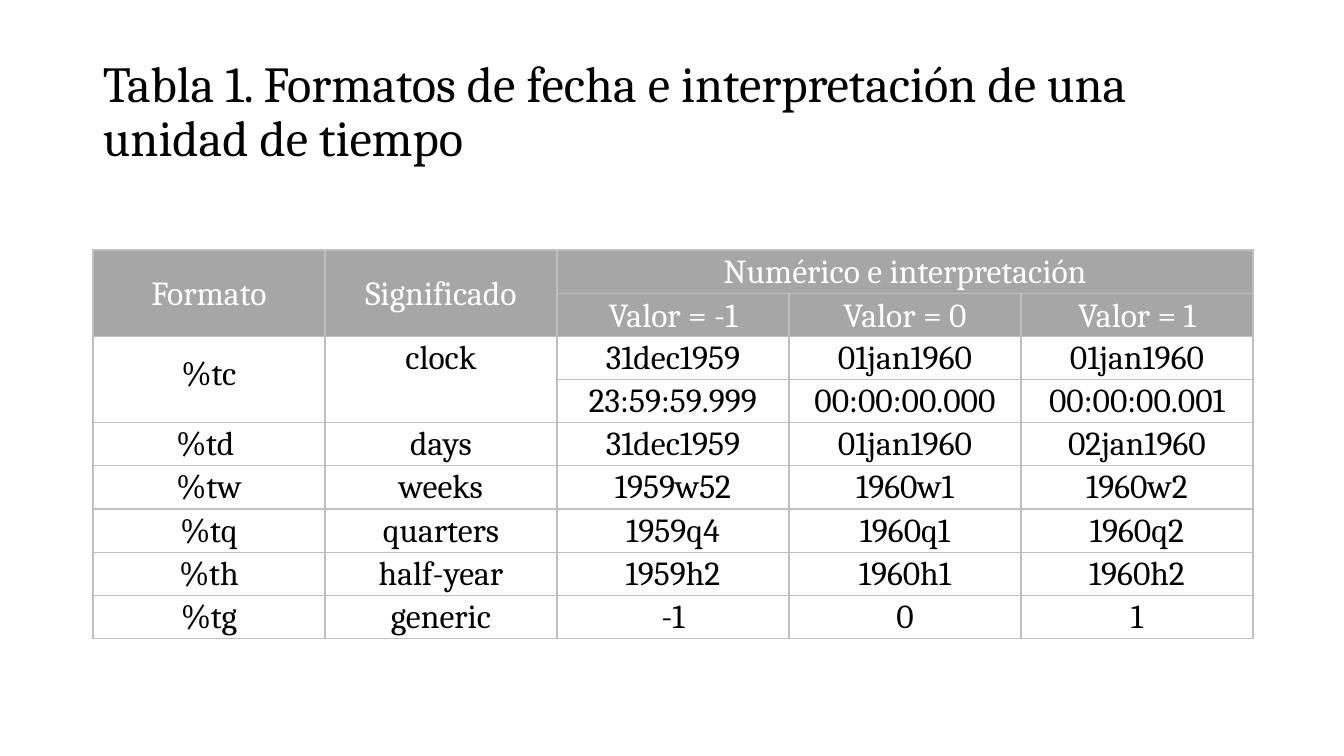
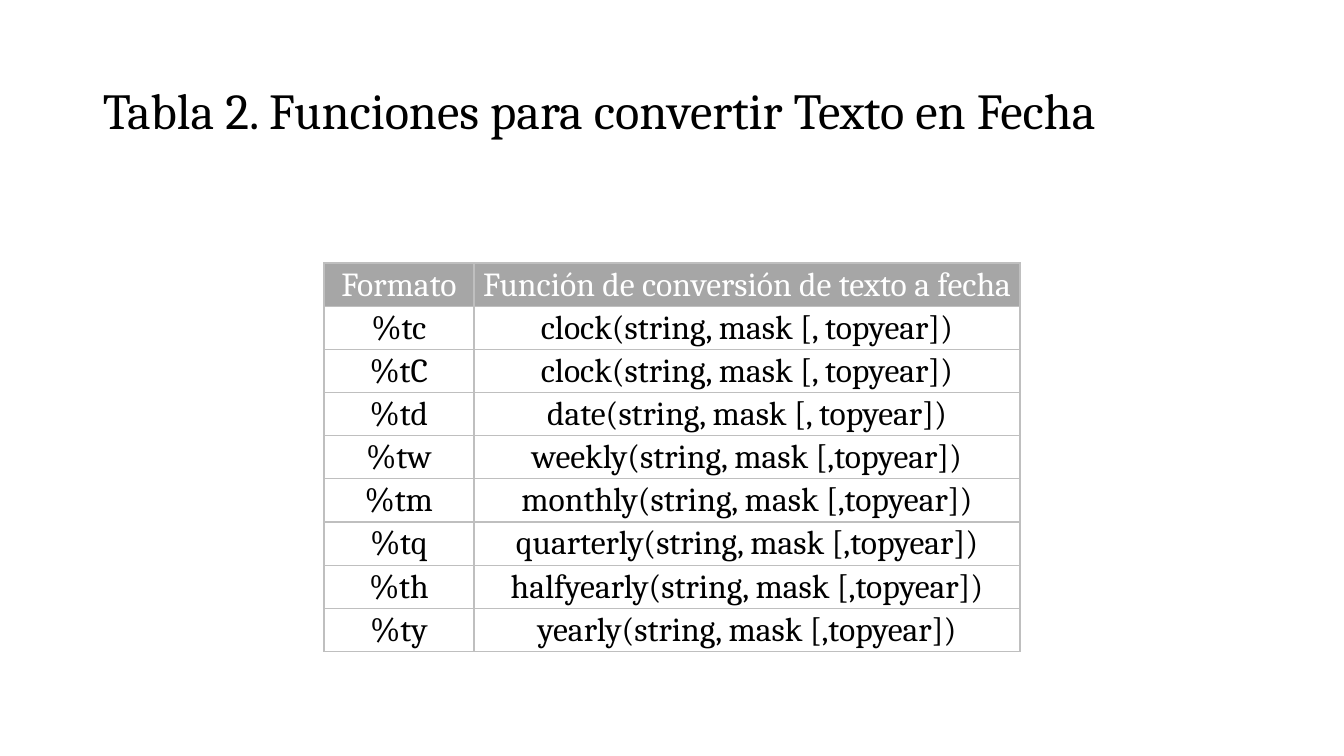
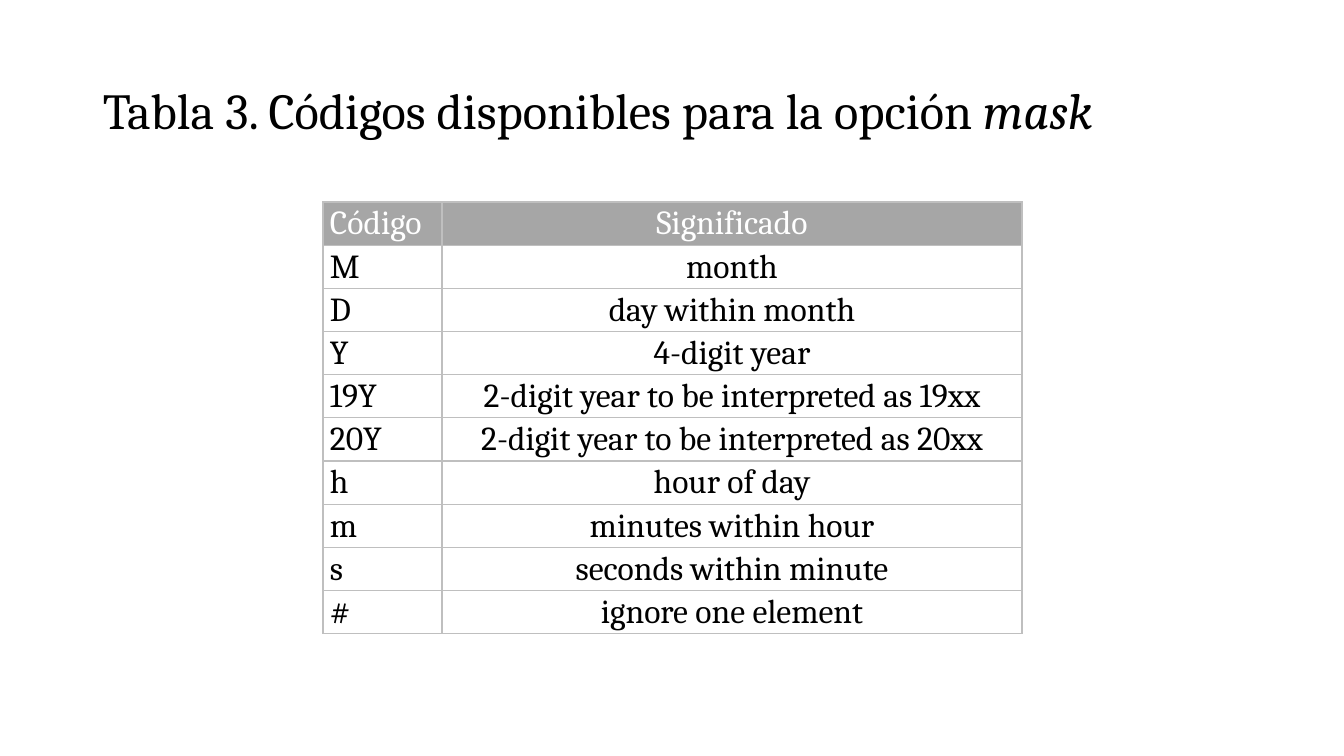
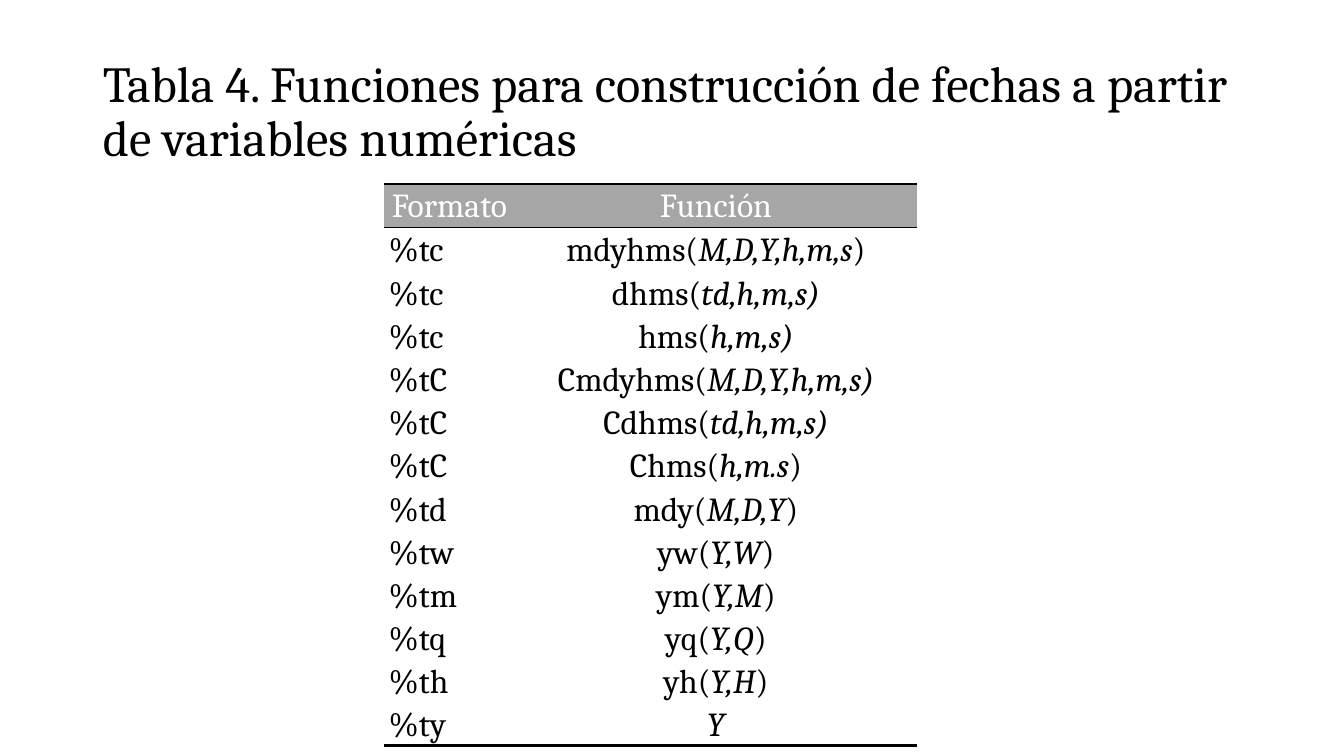
from lxml.etree import SubElement
from pptx import Presentation
from pptx.dml.color import RGBColor
from pptx.enum.text import MSO_ANCHOR, PP_ALIGN
from pptx.oxml.ns import qn
from pptx.util import Pt

SCALE = 12192000 / 1344
FONT = "Cambria"
BLACK, WHITE, GREY, LINE = "000000", "FFFFFF", "A6A6A6", "BFBFBF"
PLAIN = "{2D5ABB26-0587-4C30-8999-92F81FD0307C}"  # no style, no grid
TITLE = (93, 40, 1159, 146)
ROW = 41
LEFT, MID = PP_ALIGN.LEFT, PP_ALIGN.CENTER
TOP, CENTRE, BASE = MSO_ANCHOR.TOP, MSO_ANCHOR.MIDDLE, MSO_ANCHOR.BOTTOM


def emu(px):
    return round(px * SCALE)


def paint(hue):
    return RGBColor.from_string(hue)


def write(par, text, size, hue, space, align=LEFT):
    """Fill a paragraph; parts between asterisks are italic."""
    par.alignment = align
    par.line_spacing = space
    for i, part in enumerate(text.split("*")):
        if part:
            run = par.add_run()
            run.text = part
            run.font.name = FONT
            run.font.size = Pt(size)
            run.font.color.rgb = paint(hue)
            if i % 2:
                run.font.italic = True


def title(slide, box, text):
    frame = slide.shapes.add_textbox(*map(emu, box)).text_frame
    frame.word_wrap = True
    frame.vertical_anchor = CENTRE
    write(frame.paragraphs[0], text, 36, BLACK, 0.9)


def edge(cell, sides):
    """Draw the given sides, as {side: (colour, points)}; hide the others."""
    props = cell._tc.get_or_add_tcPr()
    for side in "LRTB":
        line = SubElement(props, qn("a:ln" + side))
        if side in sides:
            hue, wide = sides[side]
            line.set("w", str(Pt(wide)))
            fill = SubElement(line, qn("a:solidFill"))
            SubElement(fill, qn("a:srgbClr")).set("val", hue)
        else:
            line.set("w", "0")
            SubElement(line, qn("a:noFill"))


def full(row, last):
    return dict.fromkeys("LRTB", (LINE, 1))


def ruled(row, last):
    """Rules above and below the head, and below the last row."""
    if row == 0:
        return {"T": (BLACK, 1.5), "B": (BLACK, 1)}
    if row == 1:
        return {"T": (BLACK, 1)}
    return {"B": (BLACK, 2.25)} if row == last else {}


def grid(slide, spot, wides, rows, heads=1, rule=full, pad=7,
         first=MID, head=MID, anchor=TOP, top=CENTRE):
    """Build a table; first and head align column one in body and head."""
    size = (sum(wides), ROW * len(rows))
    shape = slide.shapes.add_table(len(rows), len(wides),
                                   *map(emu, spot + size))
    table = shape.table
    table.first_row = table.horz_banding = False
    table._tbl.tblPr.find(qn("a:tableStyleId")).text = PLAIN
    for col, wide in zip(table.columns, wides):
        col.width = emu(wide)
    for r, row in enumerate(rows):
        table.rows[r].height = emu(ROW)
        for c, text in enumerate(row):
            cell = table.cell(r, c)
            edge(cell, rule(r, len(rows) - 1))
            cell.margin_left = cell.margin_right = emu(pad)
            cell.margin_top = cell.margin_bottom = 0
            is_head = r < heads
            cell.vertical_anchor = top if is_head else anchor
            if is_head:
                cell.fill.solid()
                cell.fill.fore_color.rgb = paint(GREY)
            else:
                cell.fill.background()
            align = MID if c else head if is_head else first
            write(cell.text_frame.paragraphs[0], text, 24,
                  WHITE if is_head else BLACK, 1.07, align)
    return table


def units(slide):
    rows = [
        ("Formato", "Significado", "Numérico e interpretación", "", ""),
        ("", "", "Valor = -1", "Valor = 0", "Valor = 1"),
        ("%tc", "clock", "31dec1959", "01jan1960", "01jan1960"),
        ("", "", "23:59:59.999", "00:00:00.000", "00:00:00.001"),
        ("%td ", "days", "31dec1959", "01jan1960", "02jan1960"),
        ("%tw", "weeks", "1959w52", "1960w1", "1960w2"),
        ("%tq", "quarters", "1959q4", "1960q1", "1960q2"),
        ("%th", "half-year", "1959h2", "1960h1", "1960h2"),
        ("%tg", "generic", "-1", "0", "1"),
    ]
    table = grid(slide, (93, 250), [232] * 5, rows, heads=2)
    for r in (0, 2):
        for c in (0, 1):
            table.cell(r, c).merge(table.cell(r + 1, c))
    table.cell(0, 2).merge(table.cell(0, 4))
    table.cell(2, 0).text_frame.paragraphs[0].line_spacing = 1.5


def texts(slide):
    rows = [("Formato", "Función de conversión de texto a fecha")]
    for code, name in (("c", "clock"), ("C", "clock"), ("d", "date")):
        rows.append(("%t" + code, name + "(string, mask [, topyear])"))
    for name in ("weekly", "monthly", "quarterly", "halfyearly", "yearly"):
        rows.append(("%t" + name[0], name + "(string, mask [,topyear])"))
    grid(slide, (324, 263), [150, 546], rows)


def masks(slide):
    rows = [
        ("Código", "Significado"),
        ("M", "month"),
        ("D", "day within month"),
        ("Y", "4-digit year"),
        ("19Y", "2-digit year to be interpreted as 19xx"),
        ("20Y", "2-digit year to be interpreted as 20xx"),
        ("h", "hour of day"),
        ("m", "minutes within hour"),
        ("s", "seconds within minute"),
        ("#", "ignore one element"),
    ]
    grid(slide, (323, 202), [119, 580], rows, first=LEFT, head=LEFT, top=TOP)


def builds(slide):
    rows = [
        ("Formato", "Función"),
        ("%tc", "mdyhms(*M,D,Y,h,m,s*)"),
        ("%tc", "dhms(*td,h,m,s)*"),
        ("%tc", "hms(*h,m,s)*"),
        ("%tC", "Cmdyhms(*M,D,Y,h,m,s)*"),
        ("%tC", "Cdhms(*td,h,m,s)*"),
        ("%tC", "Chms(*h,m.s*)"),
        ("%td", "mdy(*M,D,Y*)"),
        ("%tw", "yw(*Y,W*)"),
        ("%tm", "ym(*Y,M*)"),
        ("%tq", "yq(*Y,Q*)"),
        ("%th", "yh(*Y,H*)"),
        ("%ty", "*Y*"),
    ]
    grid(slide, (384, 184), [131, 402], rows, rule=ruled, pad=5,
         first=LEFT, anchor=BASE)


deck = Presentation()
deck.slide_width, deck.slide_height = emu(1344), emu(756)
for text, body in (
    ("Tabla 1. Formatos de fecha e interpretación de una unidad de tiempo",
     units),
    ("Tabla 2. Funciones para convertir Texto en Fecha", texts),
    ("Tabla 3. Códigos disponibles para la opción *mask*", masks),
    ("Tabla 4. Funciones para construcción de fechas a partir "
     "de variables numéricas", builds),
):
    slide = deck.slides.add_slide(deck.slide_layouts[6])
    title(slide, TITLE, text)
    body(slide)
deck.save("out.pptx")
